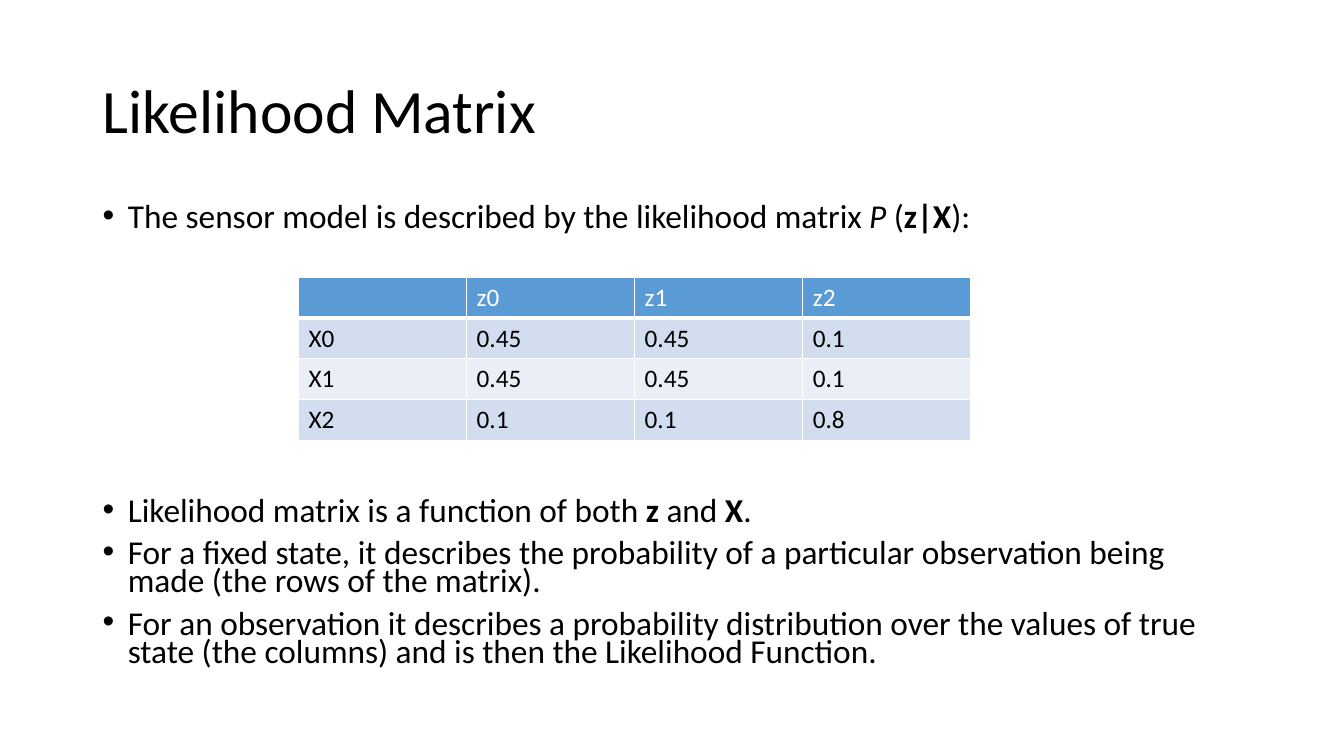
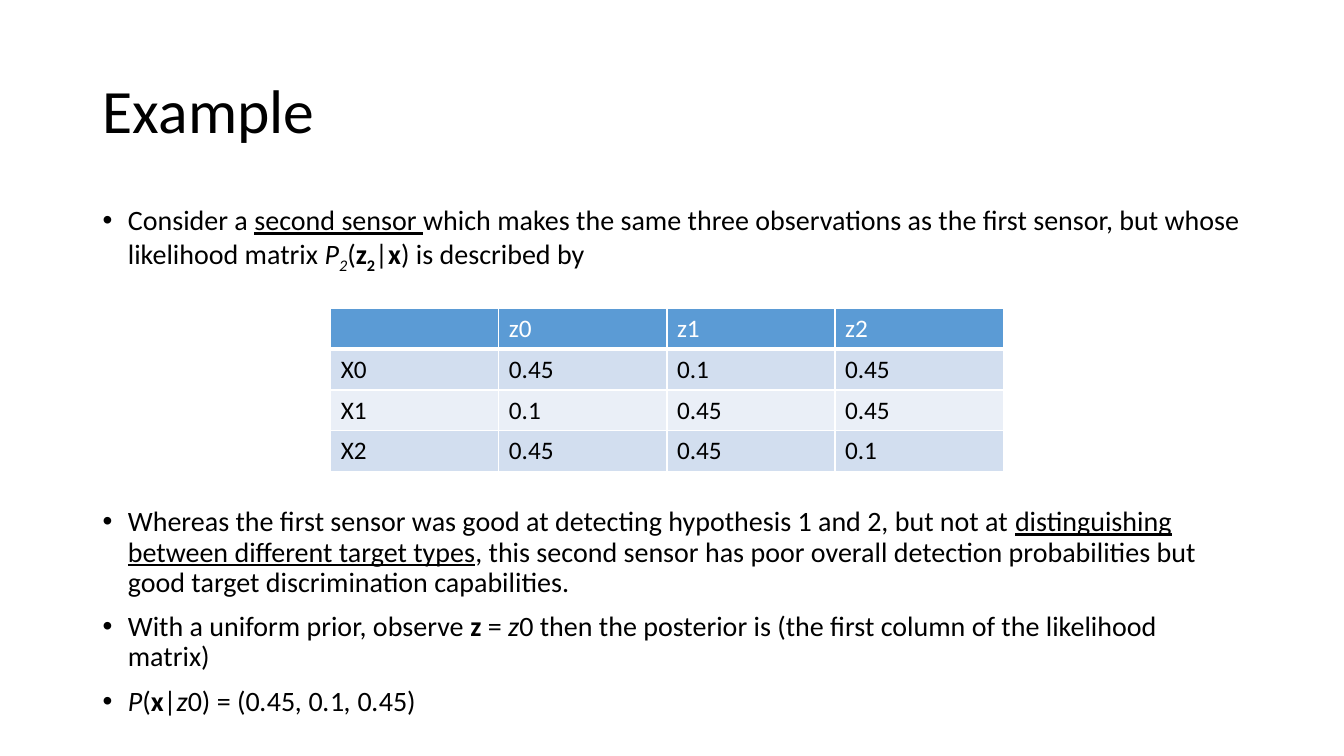
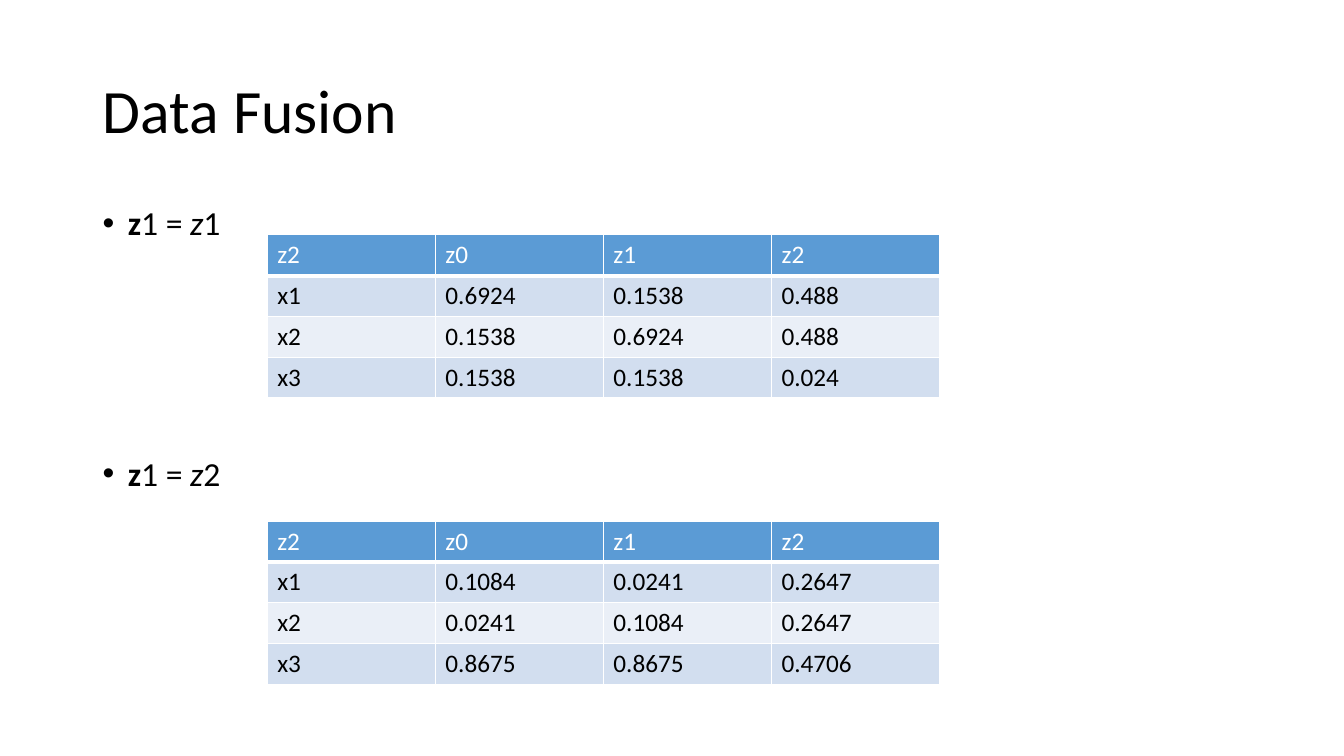
from lxml.etree import SubElement
from pptx import Presentation
from pptx.dml.color import RGBColor
from pptx.enum.text import MSO_ANCHOR, MSO_AUTO_SIZE, PP_ALIGN
from pptx.oxml.ns import qn
from pptx.util import Inches, Pt

BLACK = RGBColor(0x00, 0x00, 0x00)
WHITE = RGBColor(0xFF, 0xFF, 0xFF)
HEADER_BLUE = RGBColor(0x5B, 0x9B, 0xD5)
BAND_DARK = RGBColor(0xD2, 0xDE, 0xEF)
BAND_LIGHT = RGBColor(0xEA, 0xEF, 0xF7)

FONT = "Calibri"
TITLE_ONLY = 5
LEFT, WIDTH = Inches(0.92), Inches(11.5)
TABLE_WIDTH, TABLE_HEIGHT = Inches(6.67), Inches(1.62)
PARAGRAPH_GAP = 10

BOLD = {"bold": True}
ITALIC = {"italic": True}
UNDERLINE = {"underline": True}


def apply_format(target, values):
    """Set each named attribute on the target."""
    for name, value in values.items():
        setattr(target, name, value)


def format_font(font, size, color=BLACK, **extra):
    """Give a font the deck's typeface, a size and a colour."""
    apply_format(font, {"name": FONT, "size": Pt(size), **extra})
    font.color.rgb = color


def add_bullet(paragraph):
    """Put a hanging round bullet on a paragraph."""
    properties = paragraph._p.get_or_add_pPr()
    properties.set("marL", str(Inches(0.25)))
    properties.set("indent", str(-Inches(0.25)))
    SubElement(properties, qn("a:buFont"), typeface="Arial")
    SubElement(properties, qn("a:buChar"), char="\u2022")


def add_borders(cell, bottom=1):
    """Draw white cell borders; the bottom one may be heavier."""
    properties = cell._tc.get_or_add_tcPr()
    for side, width in {"L": 1, "R": 1, "T": 1, "B": bottom}.items():
        line = SubElement(properties, qn(f"a:ln{side}"), w=str(Pt(width)))
        fill = SubElement(line, qn("a:solidFill"))
        SubElement(fill, qn("a:srgbClr"), val=str(WHITE))


class Deck:
    """Holds the shared style and the current slide."""

    def __init__(self):
        """Start a widescreen presentation."""
        self.presentation = Presentation()
        apply_format(self.presentation, {
            "slide_width": Inches(13.33), "slide_height": Inches(7.5)})
        self.slide = None

    def add_slide(self, heading):
        """Begin a slide with its title."""
        layout = self.presentation.slide_layouts[TITLE_ONLY]
        self.slide = self.presentation.slides.add_slide(layout)
        title = self.slide.shapes.title
        apply_format(title, {"left": LEFT, "top": Inches(0.4),
                             "width": WIDTH, "height": Inches(1.45)})
        title.text = heading
        apply_format(title.text_frame, {
            "vertical_anchor": MSO_ANCHOR.MIDDLE, "word_wrap": True,
            "auto_size": MSO_AUTO_SIZE.NONE})
        paragraph = title.text_frame.paragraphs[0]
        apply_format(paragraph, {"alignment": PP_ALIGN.LEFT, "line_spacing": 0.9})
        format_font(paragraph.runs[0].font, 44)

    def add_bullets(self, bullets, size, table_gap, line_spacing=0.9):
        """Add bullets, with table_gap points before the second one."""
        box = self.slide.shapes.add_textbox(LEFT, Inches(2), WIDTH, Inches(4.76))
        frame = box.text_frame
        frame.word_wrap = True
        for index, pieces in enumerate(bullets):
            paragraph = frame.add_paragraph() if index else frame.paragraphs[0]
            gap = table_gap if index == 1 else PARAGRAPH_GAP
            apply_format(paragraph, {"line_spacing": line_spacing,
                                     "space_before": Pt(gap)})
            add_bullet(paragraph)
            for piece in pieces:
                self.add_run(paragraph, piece, size)

    def add_run(self, paragraph, piece, size):
        """Add plain text, or a (text, format[, baseline]) tuple."""
        text, style, *baseline = (piece, {}) if isinstance(piece, str) else piece
        run = paragraph.add_run()
        run.text = text
        format_font(run.font, size, **style)
        if baseline:
            run._r.get_or_add_rPr().set("baseline", str(baseline[0] * 1000))

    def add_matrix(self, left, top, rows):
        """Add a banded table whose first row is the header."""
        table = self.slide.shapes.add_table(
            len(rows), len(rows[0]), Inches(left), Inches(top),
            TABLE_WIDTH, TABLE_HEIGHT).table
        for r, values in enumerate(rows):
            band = BAND_DARK if r % 2 else BAND_LIGHT
            for c, value in enumerate(values):
                cell = table.cell(r, c)
                add_borders(cell, bottom=1 if r else 3)
                cell.fill.solid()
                cell.fill.fore_color.rgb = band if r else HEADER_BLUE
                cell.text = value
                format_font(cell.text_frame.paragraphs[0].font, 18,
                            BLACK if r else WHITE, bold=False)


deck = Deck()

deck.add_slide("Likelihood Matrix")
deck.add_bullets([
    ["The sensor model is described by the likelihood matrix ", ("P", ITALIC),
     " (", ("z|X", BOLD), "):"],
    ["Likelihood matrix is a function of both ", ("z ", BOLD), "and ",
     ("X", BOLD), "."],
    ["For a fixed state, it describes the probability of a particular "
     "observation being made (the rows of the matrix)."],
    ["For an observation it describes a probability distribution over the "
     "values of true state (the columns) and is then the Likelihood Function."],
], size=23.8, table_gap=190, line_spacing=0.7)
deck.add_matrix(2.96, 2.75, [
    ("", "z0", "z1", "z2"),
    ("X0", "0.45", "0.45", "0.1"),
    ("X1", "0.45", "0.45", "0.1"),
    ("X2", "0.1", "0.1", "0.8"),
])

deck.add_slide("Example")
deck.add_bullets([
    ["Consider a ", ("second sensor ", UNDERLINE),
     "which makes the same three observations as the first sensor, but whose "
     "likelihood matrix ", ("P", ITALIC), ("2", ITALIC, -25), "(",
     ("z", BOLD), ("2", BOLD, -25), "|", ("x", BOLD), ") is described by"],
    ["Whereas the first sensor was good at detecting hypothesis 1 and 2, "
     "but not at ",
     ("distinguishing between different target types", UNDERLINE),
     ", this second sensor has poor overall detection probabilities but good "
     "target discrimination capabilities."],
    ["With a uniform prior, observe ", ("z ", BOLD), "= ", ("z", ITALIC),
     "0 then the posterior is (the first column of the likelihood matrix)"],
    [("P", ITALIC), "(", ("x", BOLD), "|", ("z", ITALIC), "0) = (0",
     (".", ITALIC), "45", (", ", ITALIC), "0", (".", ITALIC), "1",
     (", ", ITALIC), "0", (".", ITALIC), "45)"],
], size=20, table_gap=169)
deck.add_matrix(3.28, 3.06, [
    ("", "z0", "z1", "z2"),
    ("X0", "0.45", "0.1", "0.45"),
    ("X1", "0.1", "0.45", "0.45"),
    ("X2", "0.45", "0.45", "0.1"),
])

deck.add_slide("Data Fusion")
deck.add_bullets([
    [("z", BOLD), "1 = ", ("z", ITALIC), observation] for observation in "12"
], size=24, table_gap=153)
deck.add_matrix(2.65, 2.33, [
    ("z2", "z0", "z1", "z2"),
    ("x1", "0.6924", "0.1538", "0.488"),
    ("x2", "0.1538", "0.6924", "0.488"),
    ("x3", "0.1538", "0.1538", "0.024"),
])
deck.add_matrix(2.65, 5.17, [
    ("z2", "z0", "z1", "z2"),
    ("x1", "0.1084", "0.0241", "0.2647"),
    ("x2", "0.0241", "0.1084", "0.2647"),
    ("x3", "0.8675", "0.8675", "0.4706"),
])

deck.presentation.save("out.pptx")
